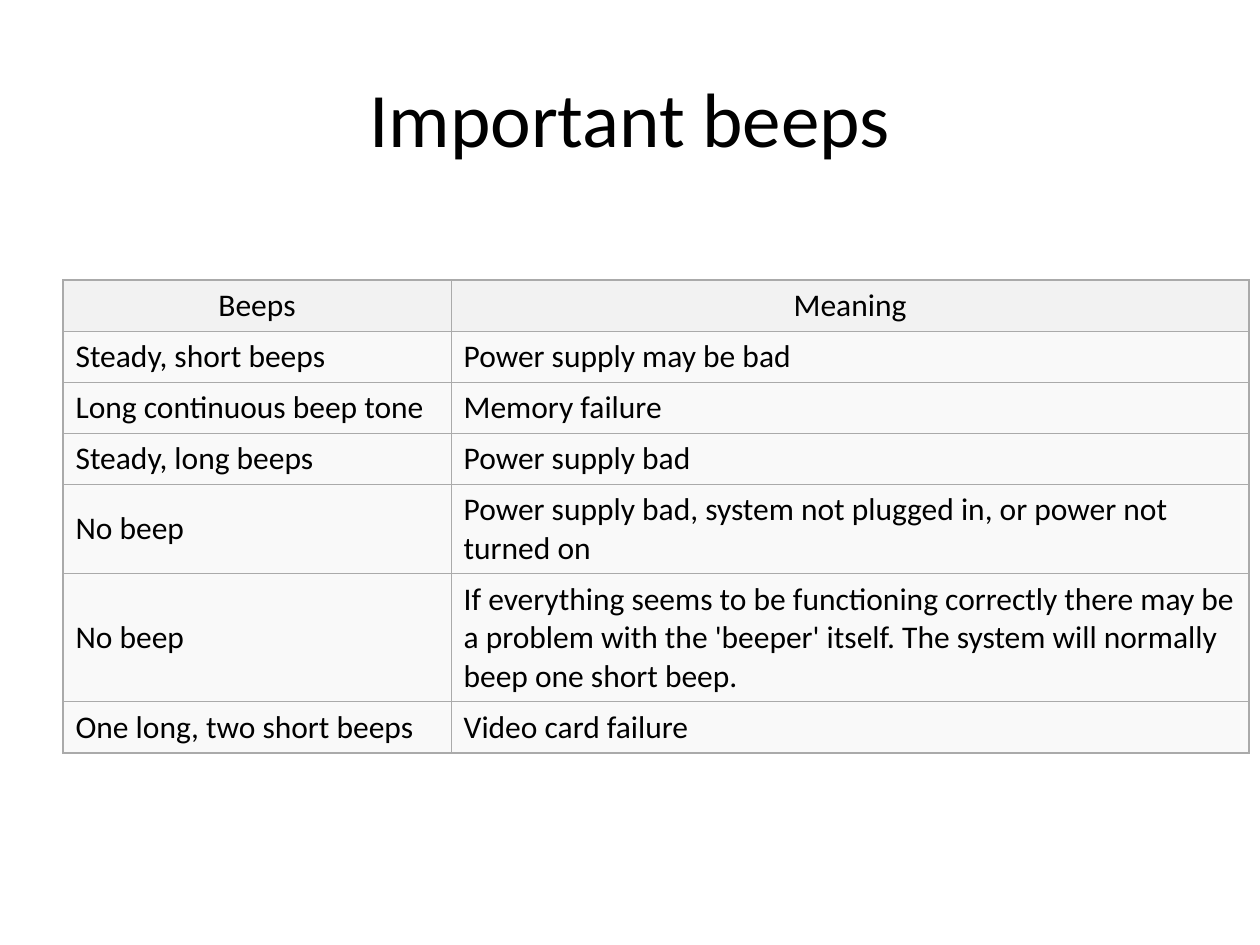
from dataclasses import dataclass

from lxml import etree
from pptx import Presentation
from pptx import util as u
from pptx.dml.color import RGBColor
from pptx.enum import text
from pptx.oxml.ns import qn


@dataclass(frozen=True)
class Theme:
    font: str = "Calibri"
    ink: str = "000000"
    header_fill: str = "F2F2F2"
    body_fill: str = "F9F9F9"
    border: str = "AAAAAA"
    border_width: float = 0.75
    title_size: float = 44
    cell_size: float = 18


@dataclass(frozen=True)
class BeepCode:
    beeps: str
    meaning: str
    lines: int = 1


THEME = Theme()
HEADER = BeepCode("Beeps", "Meaning")
CODES = [
    BeepCode("Steady, short beeps", "Power supply may be bad"),
    BeepCode("Long continuous beep tone", "Memory failure"),
    BeepCode("Steady, long beeps", "Power supply bad"),
    BeepCode("No beep", "Power supply bad, system not plugged in, "
             "or power not turned on", 2),
    BeepCode("No beep", "If everything seems to be functioning correctly "
             "there may be a problem with the 'beeper' itself. "
             "The system will normally beep one short beep.", 3),
    BeepCode("One long, two short beeps", "Video card failure"),
]
TABLE_LEFT, TABLE_TOP = 36, 160
COLUMN_WIDTHS = (221.76, 456)
LINE_HEIGHT, ROW_PADDING = 21.97, 7.2


def add_run(p, words: str, size: float) -> None:
    r = p.add_run()
    r.text = words
    r.font.name = THEME.font
    r.font.size = u.Pt(size)
    r.font.color.rgb = RGBColor.from_string(THEME.ink)


def add_title(s, words: str) -> None:
    sp = s.shapes.title
    sp.left, sp.top, sp.width, sp.height = map(u.Pt, (36, 21.6, 648, 90))
    tf = sp.text_frame
    tf.vertical_anchor = text.MSO_ANCHOR.MIDDLE
    p = tf.paragraphs[0]
    p.alignment = text.PP_ALIGN.CENTER
    add_run(p, words, THEME.title_size)


def add_borders(cell) -> None:
    """Line all four sides; the schema wants the lines before the fill."""
    tc_pr = cell._tc.get_or_add_tcPr()
    for i, side in enumerate(("a:lnL", "a:lnR", "a:lnT", "a:lnB")):
        ln = etree.Element(qn(side), w=str(int(u.Pt(THEME.border_width))))
        fill = etree.SubElement(ln, qn("a:solidFill"))
        etree.SubElement(fill, qn("a:srgbClr"), val=THEME.border)
        tc_pr.insert(i, ln)


def fill_cell(cell, words: str, is_header: bool) -> None:
    cell.vertical_anchor = text.MSO_ANCHOR.MIDDLE
    cell.fill.solid()
    cell.fill.fore_color.rgb = RGBColor.from_string(
        THEME.header_fill if is_header else THEME.body_fill)
    add_borders(cell)
    p = cell.text_frame.paragraphs[0]
    p.alignment = text.PP_ALIGN.CENTER if is_header else text.PP_ALIGN.LEFT
    add_run(p, words, THEME.cell_size)


def add_beep_table(s, codes: list[BeepCode]) -> None:
    heights = [ROW_PADDING + LINE_HEIGHT * code.lines for code in codes]
    table = s.shapes.add_table(
        len(codes), len(COLUMN_WIDTHS), u.Pt(TABLE_LEFT), u.Pt(TABLE_TOP),
        u.Pt(sum(COLUMN_WIDTHS)), u.Pt(sum(heights))).table
    table.horz_banding = False
    for column, width in zip(table.columns, COLUMN_WIDTHS):
        column.width = u.Pt(width)
    for i, (code, height) in enumerate(zip(codes, heights)):
        table.rows[i].height = u.Pt(height)
        # The header keeps regular weight, so its run is set explicitly below.
        for j, words in enumerate((code.beeps, code.meaning)):
            fill_cell(table.cell(i, j), words, is_header=i == 0)
    table.first_row = False


def main() -> None:
    prs = Presentation()
    prs.slide_width, prs.slide_height = u.Pt(720), u.Pt(540)
    s = prs.slides.add_slide(prs.slide_layouts[5])
    add_title(s, "Important beeps")
    add_beep_table(s, [HEADER, *CODES])
    prs.save("out.pptx")


if __name__ == "__main__":
    main()
